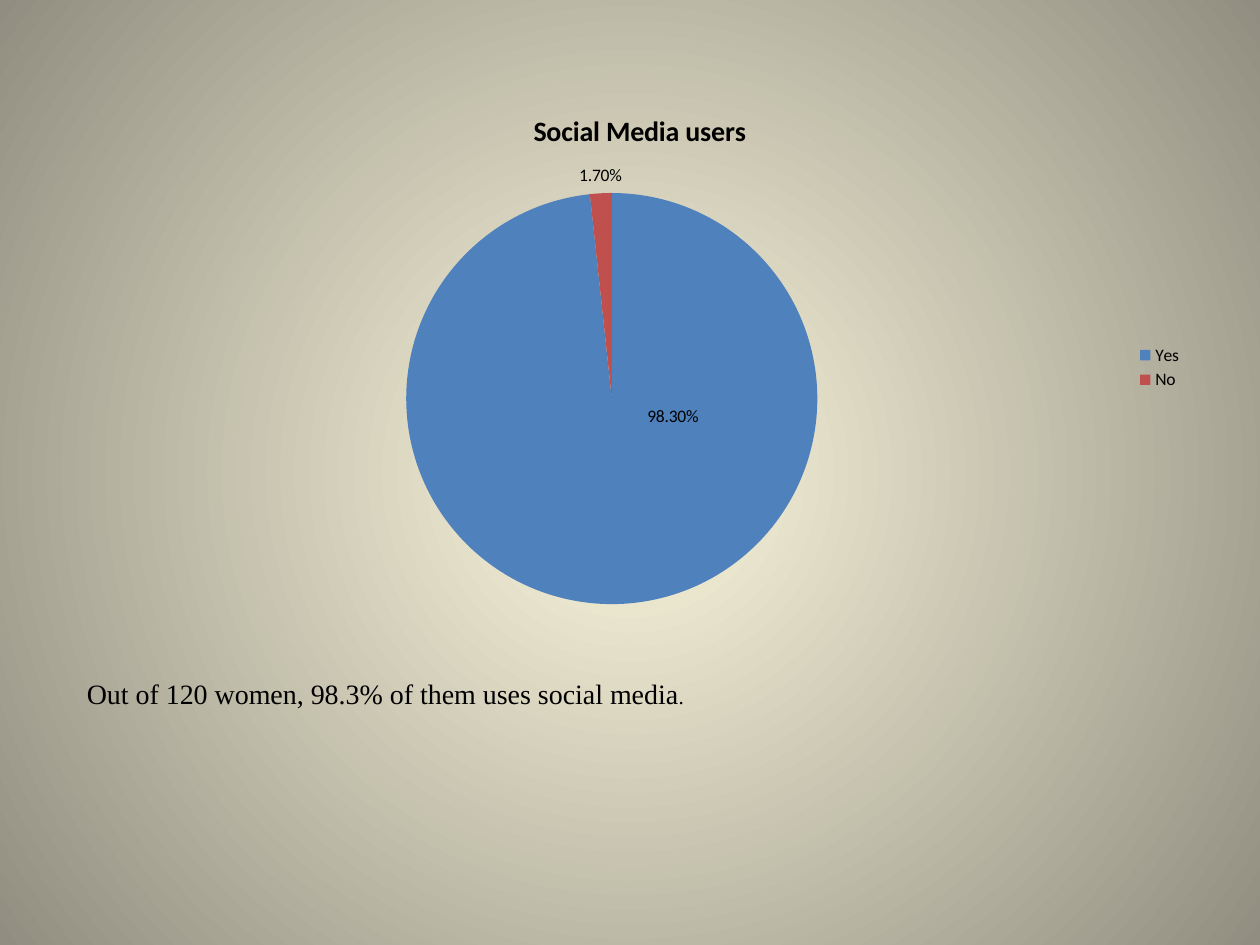
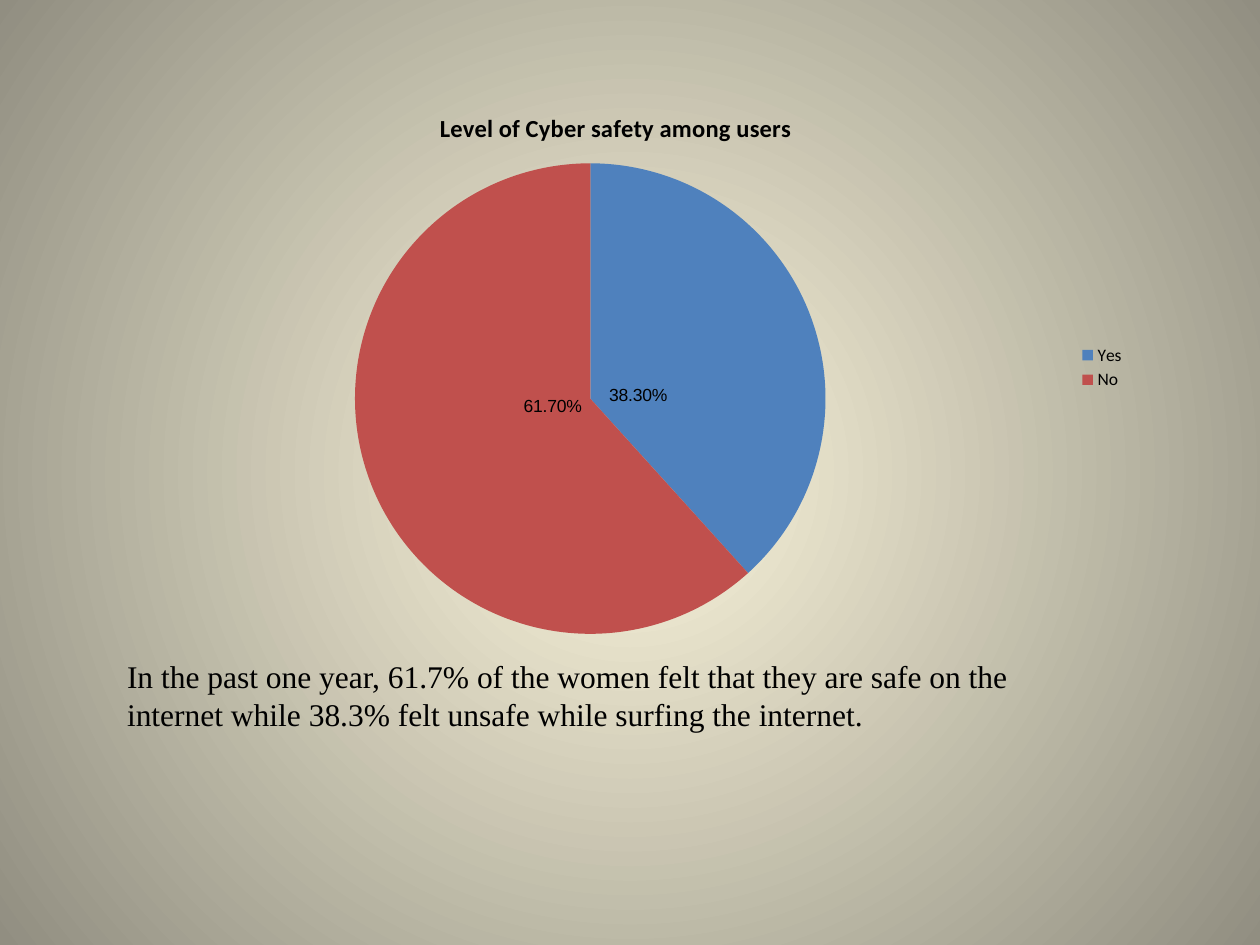
from pptx import Presentation
from pptx import util as u
from pptx.chart.data import CategoryChartData
from pptx.dml.color import RGBColor
from pptx.enum import chart as ch
from pptx.oxml import parse_xml
from pptx.oxml.ns import nsdecls, qn

BLACK = RGBColor(0x00, 0x00, 0x00)
YES_BLUE = RGBColor(0x4F, 0x81, 0xBD)
NO_RED = RGBColor(0xC0, 0x50, 0x4D)
CREAM = RGBColor(0xFC, 0xF7, 0xDD)
STONE = RGBColor(0x91, 0x8E, 0x81)
CHART_FONT, BODY_FONT = "Calibri", "Times New Roman"
ANSWERS = {"Yes": YES_BLUE, "No": NO_RED}
CHART_TOP, CHART_HEIGHT = 48, 324

SLIDES = [
    dict(title="Social Media users", title_size=16, title_at=(0.4, 0.04),
         shares=(0.983, 0.017), chart_x=(48, 635),
         pie=(0.29, 0.19, 0.37, 0.73),
         label_font=CHART_FONT, label_shifts=[(0.05, -0.15), None],
         caption=[("Out of 120 women, 98.3% of them uses social media", 16), (".", 12)],
         caption_at=(42.5, 383, 646.5, 103)),
    dict(title="Level of Cyber safety among users", title_size=14, title_at=(0.32, 0.04),
         shares=(0.383, 0.617), chart_x=(60, 590),
         pie=(0.24, 0.14, 0.46, 0.83),
         label_font="Arial", label_shifts=[(-0.06, 0.07), (0.07, -0.06)],
         caption=[("In the past one year, 61.7% of the women felt that they are safe on the "
                   "internet while 38.3% felt unsafe while surfing the internet.", 18)],
         caption_at=(65.5, 372, 572.5, 114)),
]


def set_font(font, name, size, bold=False):
    font.name, font.size, font.bold = name, u.Pt(size), bold
    font.color.rgb = BLACK


def manual_layout(tags, sizes):
    parts = "".join(f'<c:{t} val="{v}"/>' for t, v in zip(tags, sizes))
    return parse_xml(f'<c:layout {nsdecls("c")}><c:manualLayout>{parts}'
                     '</c:manualLayout></c:layout>')


def place(parent, after, layout):
    for old in parent.findall(qn("c:layout")):
        parent.remove(old)
    if after is None:
        parent.insert(0, layout)
    else:
        parent.find(qn(after)).addnext(layout)


def paint_background(master):
    fill = master.background.fill
    fill.gradient()
    for stop, color in zip(fill.gradient_stops, (CREAM, STONE)):
        stop.color.rgb = color
    grad = master.element.find(".//" + qn("a:gradFill"))
    grad.replace(grad.find(qn("a:lin")), parse_xml(
        f'<a:path {nsdecls("a")} path="circle">'
        '<a:fillToRect l="50000" t="50000" r="50000" b="50000"/></a:path>'))


def add_pie(s, d):
    data = CategoryChartData(number_format="0.00%")
    data.categories = list(ANSWERS)
    data.add_series("Series 1", d["shares"])
    left, width = d["chart_x"]
    chart = s.shapes.add_chart(ch.XL_CHART_TYPE.PIE, u.Pt(left), u.Pt(CHART_TOP),
                               u.Pt(width), u.Pt(CHART_HEIGHT), data).chart
    set_font(chart.font, CHART_FONT, 10)

    r = chart.chart_title.text_frame.paragraphs[0].add_run()
    r.text = d["title"]
    set_font(r.font, CHART_FONT, d["title_size"], True)
    place(chart.chart_title._element, "c:tx",
          manual_layout(("xMode", "yMode", "x", "y"), ("edge", "edge", *d["title_at"])))

    chart.has_legend = True
    chart.legend.position = ch.XL_LEGEND_POSITION.RIGHT
    chart.legend.include_in_layout = False

    plot = chart.plots[0]
    plot.vary_by_categories = True
    place(plot._element.getparent(), None,
          manual_layout(("layoutTarget", "xMode", "yMode", "x", "y", "w", "h"),
                        ("inner", "edge", "edge", *d["pie"])))

    series = plot.series[0]
    labels = series.data_labels
    labels.show_value = True
    labels.number_format, labels.number_format_is_linked = "0.00%", False
    labels.position = ch.XL_LABEL_POSITION.OUTSIDE_END
    set_font(labels.font, d["label_font"], 10)
    for i, (color, shift) in enumerate(zip(ANSWERS.values(), d["label_shifts"])):
        point = series.points[i]
        point.format.fill.solid()
        point.format.fill.fore_color.rgb = color
        if shift:
            label = point.data_label
            set_font(label.font, d["label_font"], 10)
            label.position = ch.XL_LABEL_POSITION.CENTER
            place(labels._element.find(qn("c:dLbl") + f"[{i + 1}]"), "c:idx",
                  manual_layout(("x", "y"), shift))


def add_caption(s, d):
    tf = s.shapes.add_textbox(*map(u.Pt, d["caption_at"])).text_frame
    tf.word_wrap = True
    p = tf.paragraphs[0]
    for words, size in d["caption"]:
        r = p.add_run()
        r.text = words
        set_font(r.font, BODY_FONT, size)


def main():
    prs = Presentation()
    prs.slide_width, prs.slide_height = u.Pt(720), u.Pt(540)
    paint_background(prs.slide_master)
    for d in SLIDES:
        s = prs.slides.add_slide(prs.slide_layouts[6])
        add_caption(s, d)
        add_pie(s, d)
    prs.save("out.pptx")


if __name__ == "__main__":
    main()
